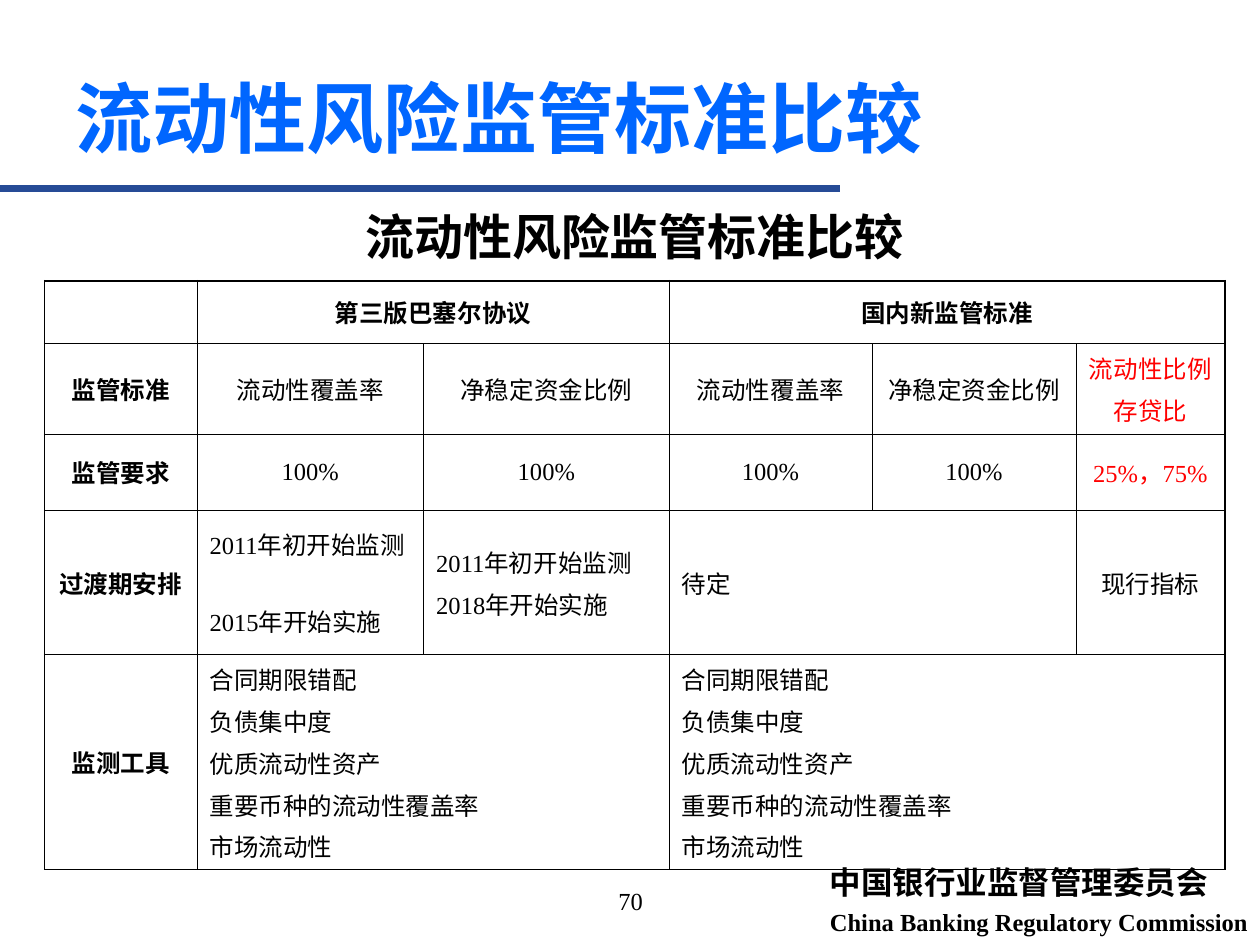
from dataclasses import dataclass
from itertools import groupby

from lxml.etree import SubElement
from pptx import Presentation
from pptx.dml.color import RGBColor
from pptx.enum.shapes import MSO_CONNECTOR as Connector
from pptx.enum.text import MSO_ANCHOR as Anchor
from pptx.enum.text import MSO_AUTO_SIZE as AutoSize
from pptx.enum.text import PP_ALIGN as Align
from pptx.oxml import parse_xml
from pptx.oxml.ns import nsdecls, qn
from pptx.util import Cm, Pt


@dataclass(frozen=True)
class Theme:
    black: str = "000000"
    red: str = "FF0000"
    title_blue: str = "0066FF"
    rule_blue: str = "264B96"
    heading_face: str = "Arial"
    agency_face: str = "DejaVu Sans"
    latin_face: str = "Times New Roman"
    chinese_face: str = "Noto Sans CJK SC"
    title_size: float = 44
    heading_size: float = 28
    agency_size: float = 18
    text_size: float = 14
    gap: float = 3.5
    thin: float = 0.45
    thick: float = 1.08


class SlideBuilder:
    def __init__(self, deck, theme):
        self.theme = theme
        self.slide = deck.slides.add_slide(deck.slide_layouts[1])

    def style(self, para, face, size, color=None, bold=False,
              align=Align.LEFT, before=0):
        """Format a whole paragraph."""
        para.alignment = align
        para.space_before = Pt(before)
        font = para.font
        font.name, font.size, font.bold = face, Pt(size), bold
        font.color.rgb = RGBColor.from_string(color or self.theme.black)
        defaults = para._p.pPr.find(qn("a:defRPr"))
        SubElement(defaults, qn("a:ea")).set("typeface", self.theme.chinese_face)

    def hang(self, para):
        properties = para._p.get_or_add_pPr()
        properties.set("marL", str(Cm(0.95)))
        properties.set("indent", str(-Cm(0.95)))

    def placeholder(self, index, area, text, anchor, face, size, **look):
        box = self.slide.placeholders[index]
        box.left, box.top, box.width, box.height = map(Cm, area)
        frame = box.text_frame
        frame.auto_size, frame.vertical_anchor = AutoSize.NONE, anchor
        frame.text = text
        para = frame.paragraphs[0]
        if index:
            self.hang(para)
            SubElement(para._p.get_or_add_pPr(), qn("a:buNone"))
        self.style(para, face, size, **look)

    def text_box(self, area, lines, wrap=True, **look):
        box = self.slide.shapes.add_textbox(*map(Cm, area))
        frame = box.text_frame
        frame.word_wrap = wrap
        frame.auto_size = AutoSize.NONE if wrap else AutoSize.SHAPE_TO_FIT_TEXT
        for number, (text, face, size) in enumerate(lines):
            para = frame.add_paragraph() if number else frame.paragraphs[0]
            para.text = text
            self.style(para, face, size,
                       before=self.theme.gap if number else 0, **look)

    def rule(self, left, right, top, color, width):
        line = self.slide.shapes.add_connector(
            Connector.STRAIGHT, Cm(left), Cm(top), Cm(right), Cm(top))
        line.line.color.rgb = RGBColor.from_string(color)
        line.line.width = Pt(width)
        SubElement(line._element.spPr, qn("a:effectLst"))

    def table(self, left, top, widths, heights):
        table = self.slide.shapes.add_table(
            len(heights), len(widths), Cm(left), Cm(top),
            Cm(sum(widths)), Cm(sum(heights))).table
        table.first_row = table.horz_banding = False
        for column, width in zip(table.columns, widths):
            column.width = Cm(width)
        for row, height in zip(table.rows, heights):
            row.height = Cm(height)
        return table

    def cell(self, cell, lines, face=None, gap=None, **look):
        """Fill a cell; without a face, each script gets its own font."""
        theme = self.theme
        cell.vertical_anchor = Anchor.MIDDLE
        if look.get("align") == Align.LEFT:
            cell.margin_right = Cm(0.15)
        frame = cell.text_frame
        for number, text in enumerate(lines):
            para = frame.add_paragraph() if number else frame.paragraphs[0]
            self.hang(para)
            parts = [(ascii_part, "".join(letters))
                     for ascii_part, letters in groupby(text, str.isascii)]
            faces = [theme.latin_face if part[0] else theme.chinese_face
                     for part in parts]
            self.style(para, face or faces[0], theme.text_size,
                       before=(gap or theme.gap) if number else 0, **look)
            if face or len(parts) == 1:
                para.add_run().text = text
                continue
            for (_, words), run_face in zip(parts, faces):
                span = para.add_run()
                span.text, span.font.name = words, run_face
                if run_face == theme.chinese_face:
                    properties = span._r.get_or_add_rPr()
                    SubElement(properties, qn("a:ea")).set("typeface", run_face)

    def borders(self, table):
        """Thin grid inside, thicker frame outside."""
        last_row, last_column = len(table.rows) - 1, len(table.columns) - 1
        for r in range(last_row + 1):
            for c in range(last_column + 1):
                cell = table.cell(r, c)
                cell.fill.background()
                end = c + (cell.span_width if cell.is_merge_origin else 1) - 1
                outer = {"L": c == 0, "R": end == last_column,
                         "T": r == 0, "B": r == last_row}
                if cell.is_spanned:
                    del outer["L"]
                    if c < last_column:
                        del outer["R"]
                for place, (side, thick) in enumerate(outer.items()):
                    width = Pt(self.theme.thick if thick else self.theme.thin)
                    line = parse_xml(
                        f'<a:ln{side} {nsdecls("a")} w="{width}"><a:solidFill>'
                        f'<a:srgbClr val="{self.theme.black}"/></a:solidFill>'
                        f'</a:ln{side}>')
                    cell._tc.tcPr.insert(place, line)


def main():
    theme = Theme()
    deck = Presentation()
    deck.slide_width, deck.slide_height = Cm(25.4), Cm(19.05)
    page = SlideBuilder(deck, theme)
    heading = "流动性风险监管标准比较"

    # Agency name, rule and page number
    page.text_box((16.48, 17.27, 8.94, 1.73), [
        ("中国银行业监督管理委员会", theme.agency_face, theme.agency_size),
        ("China Banking Regulatory Commission", theme.latin_face, theme.text_size),
    ], wrap=False, bold=True)
    page.rule(0, 16.93, 3.8, theme.rule_blue, 4.5)
    page.text_box((8.69, 17.73, 8.05, 1.32),
                  [("70", theme.latin_face, theme.text_size)], align=Align.CENTER)

    # Title and table heading
    page.placeholder(0, (1.27, 0.76, 22.86, 3.18), heading, Anchor.MIDDLE,
                     theme.heading_face, theme.title_size,
                     color=theme.title_blue, bold=True)
    page.placeholder(1, (1.27, 4.04, 23.04, 1.47), heading, Anchor.TOP,
                     theme.heading_face, theme.heading_size,
                     bold=True, align=Align.CENTER)

    # Comparison table
    table = page.table(0.9, 5.66, [3.07, 4.57, 4.95, 4.09, 4.11, 3],
                       [1.27, 1.82, 1.53, 2.92, 4.33])
    for row, first, last in [(0, 1, 2), (0, 3, 5), (3, 3, 4), (4, 1, 2), (4, 3, 5)]:
        table.cell(row, first).merge(table.cell(row, last))

    # Column and row headings
    headings = {(0, 1): "第三版巴塞尔协议", (0, 3): "国内新监管标准",
                (1, 0): "监管标准", (2, 0): "监管要求",
                (3, 0): "过渡期安排", (4, 0): "监测工具"}
    for place, text in headings.items():
        page.cell(table.cell(*place), [text], bold=True, align=Align.CENTER)

    # Ratios and their required levels
    for column, ratio in enumerate(["流动性覆盖率", "净稳定资金比例"] * 2, 1):
        page.cell(table.cell(1, column), [ratio], align=Align.CENTER)
        page.cell(table.cell(2, column), ["100%"], align=Align.CENTER)
    page.cell(table.cell(1, 5), ["流动性比例", "存贷比"],
              color=theme.red, align=Align.CENTER)
    page.cell(table.cell(2, 5), ["25%，75%"], face=theme.latin_face,
              color=theme.red, align=Align.CENTER)

    # Transition arrangements
    page.cell(table.cell(3, 1), ["2011年初开始监测", "2015年开始实施"],
              gap=23.5, align=Align.LEFT)
    page.cell(table.cell(3, 2), ["2011年初开始监测", "2018年开始实施"],
              align=Align.LEFT)
    page.cell(table.cell(3, 3), ["待定"], face=theme.latin_face, align=Align.LEFT)
    page.cell(table.cell(3, 5), ["现行指标"], align=Align.CENTER)

    # Monitoring tools
    tools = ["合同期限错配", "负债集中度", "优质流动性资产",
             "重要币种的流动性覆盖率", "市场流动性"]
    for column in (1, 3):
        page.cell(table.cell(4, column), tools, align=Align.LEFT)

    page.borders(table)
    deck.save("out.pptx")


if __name__ == "__main__":
    main()
